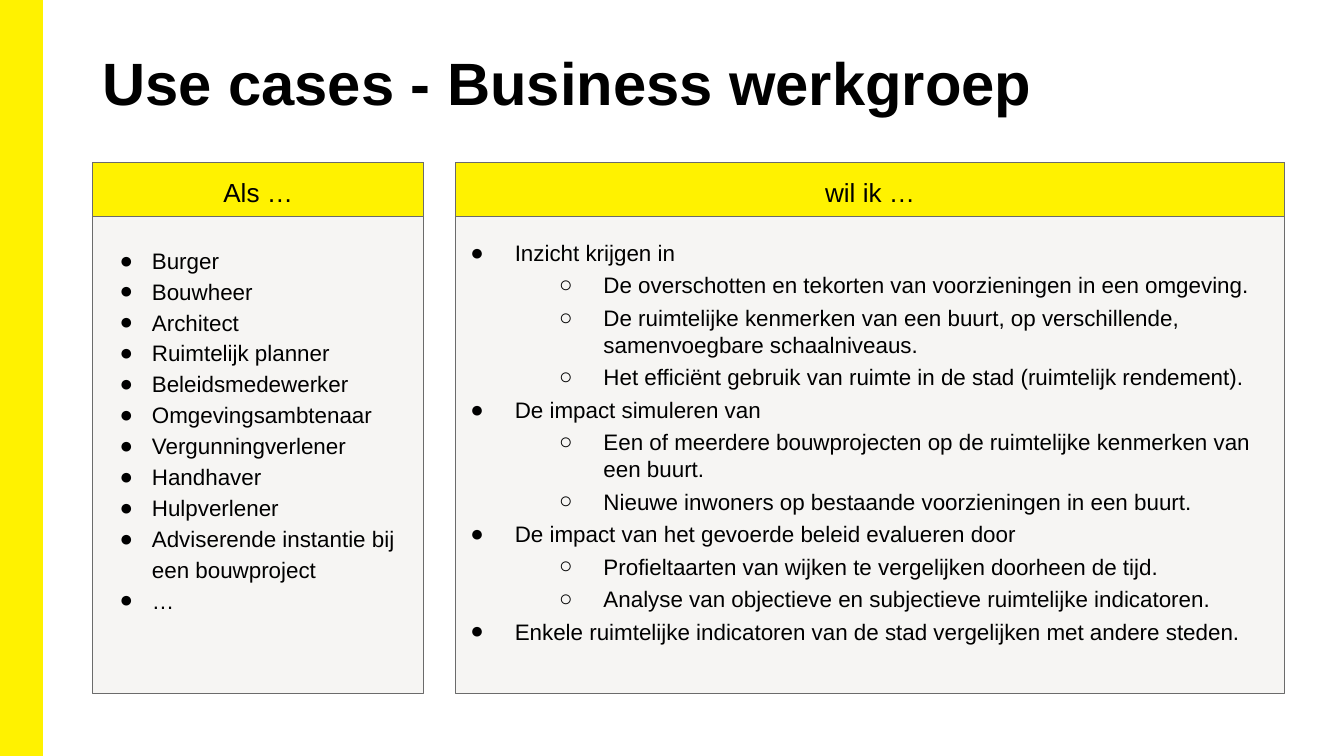
from pptx import Presentation
from pptx.dml.color import RGBColor
from pptx.enum.shapes import MSO_SHAPE
from pptx.enum.text import MSO_ANCHOR, MSO_AUTO_SIZE, PP_ALIGN
from pptx.oxml import parse_xml
from pptx.oxml.ns import nsdecls
from pptx.util import Pt

COLORS = {"yellow": "FFF200", "panel": "F6F5F3", "edge": "6B6B6B", "text": "000000"}
FONT = "Arial"
BULLETS = ("●", "○")

PANEL_TOP, PANEL_HEIGHT, HEADER_HEIGHT = 87.1, 284.4, 29
ROLES_LEFT, ROLES_WIDTH = 49.7, 177.3
WISHES_LEFT, WISHES_WIDTH = 244.1, 444.2

ROLES = [(0, role) for role in (
    "Burger", "Bouwheer", "Architect", "Ruimtelijk planner", "Beleidsmedewerker",
    "Omgevingsambtenaar", "Vergunningverlener", "Handhaver", "Hulpverlener",
    "Adviserende instantie bij een bouwproject", "…",
)]
WISHES = [
    (0, "Inzicht krijgen in"),
    (1, "De overschotten en tekorten van voorzieningen in een omgeving."),
    (1, "De ruimtelijke kenmerken van een buurt, op verschillende, "
        "samenvoegbare schaalniveaus."),
    (1, "Het efficiënt gebruik van ruimte in de stad (ruimtelijk rendement)."),
    (0, "De impact simuleren van"),
    (1, "Een of meerdere bouwprojecten op de ruimtelijke kenmerken van een buurt."),
    (1, "Nieuwe inwoners op bestaande voorzieningen in een buurt."),
    (0, "De impact van het gevoerde beleid evalueren door"),
    (1, "Profieltaarten van wijken te vergelijken doorheen de tijd."),
    (1, "Analyse van objectieve en subjectieve ruimtelijke indicatoren."),
    (0, "Enkele ruimtelijke indicatoren van de stad vergelijken met andere steden."),
]


class SlideBuilder:
    def __init__(self, page):
        self.page = page

    def color(self, name):
        return RGBColor.from_string(COLORS[name])

    def place(self, shape, left, top, width, height):
        shape.left, shape.top = Pt(left), Pt(top)
        shape.width, shape.height = Pt(width), Pt(height)

    def paint(self, shape, fill, line, weight):
        shape.fill.solid()
        shape.fill.fore_color.rgb = self.color(fill)
        shape.line.color.rgb = self.color(line)
        shape.line.width = Pt(weight)

    def frame(self, shape, side, top, bottom):
        frame = shape.text_frame
        frame.word_wrap = True
        frame.auto_size = MSO_AUTO_SIZE.NONE
        frame.vertical_anchor = MSO_ANCHOR.TOP
        frame.margin_left = frame.margin_right = Pt(side)
        frame.margin_top, frame.margin_bottom = Pt(top), Pt(bottom)
        return frame

    def add_span(self, para, text, size, bold=False):
        span = para.add_run()
        span.text = text
        span.font.name = FONT
        span.font.size = Pt(size)
        span.font.bold = bold
        span.font.color.rgb = self.color("text")

    def bullet(self, para, level, indent, hanging):
        para.level = level
        properties = para._p.get_or_add_pPr()
        properties.set("marL", str(Pt(indent)))
        properties.set("indent", str(-Pt(hanging)))
        for xml in (
            f'<a:buClr {nsdecls("a")}><a:srgbClr val="{COLORS["text"]}"/></a:buClr>',
            f'<a:buFont {nsdecls("a")} typeface="{FONT}"/>',
            f'<a:buChar {nsdecls("a")} char="{BULLETS[level]}"/>',
        ):
            properties.append(parse_xml(xml))

    def title(self, text):
        box = self.page.shapes.title
        self.place(box, 49.7, 21.6, 620.6, 51.8)
        para = self.frame(box, 5, 2.9, 2.9).paragraphs[0]
        para.alignment = PP_ALIGN.LEFT
        self.add_span(para, text, 32, bold=True)

    def rectangle(self, left, top, width, height, line, weight):
        box = self.page.shapes.add_shape(
            MSO_SHAPE.RECTANGLE, Pt(left), Pt(top), Pt(width), Pt(height))
        box.shadow.inherit = False
        self.paint(box, "yellow", line, weight)
        return box

    def header(self, text, left, width):
        box = self.rectangle(left, PANEL_TOP, width, HEADER_HEIGHT, "edge", 0.75)
        para = self.frame(box, 7.2, 7.2, 7.2).paragraphs[0]
        para.alignment = PP_ALIGN.CENTER
        self.add_span(para, text, 14)

    def list_panel(self, index, items, left, width, inset, hanging, spacing, gap):
        box = self.page.placeholders[index]
        self.place(box, left, PANEL_TOP, width, PANEL_HEIGHT)
        self.paint(box, "panel", "edge", 0.75)
        frame = self.frame(box, 7.2, inset, 7.2)
        for number, (level, text) in enumerate(items):
            para = frame.add_paragraph() if number else frame.paragraphs[0]
            self.bullet(para, level, (24.5, 72)[level], hanging)
            para.line_spacing = spacing
            para.space_before = Pt(gap if number else 0)
            self.add_span(para, text, 12)


def main():
    deck = Presentation()
    deck.slide_width, deck.slide_height = Pt(720), Pt(405)
    builder = SlideBuilder(deck.slides.add_slide(deck.slide_layouts[3]))

    # Title and side bar
    builder.title("Use cases - Business werkgroep")
    builder.rectangle(0, 0, 22.3, 405, "yellow", 1)

    # Lists
    builder.list_panel(1, ROLES, ROLES_LEFT, ROLES_WIDTH, 43, 17.3, 1.15, 0)
    builder.list_panel(2, WISHES, WISHES_LEFT, WISHES_WIDTH, 41, 23.8, 1.0, 3)

    # Column headers
    builder.header("Als …", ROLES_LEFT, ROLES_WIDTH)
    builder.header("wil ik …", WISHES_LEFT, WISHES_WIDTH)

    deck.save("out.pptx")


if __name__ == "__main__":
    main()
